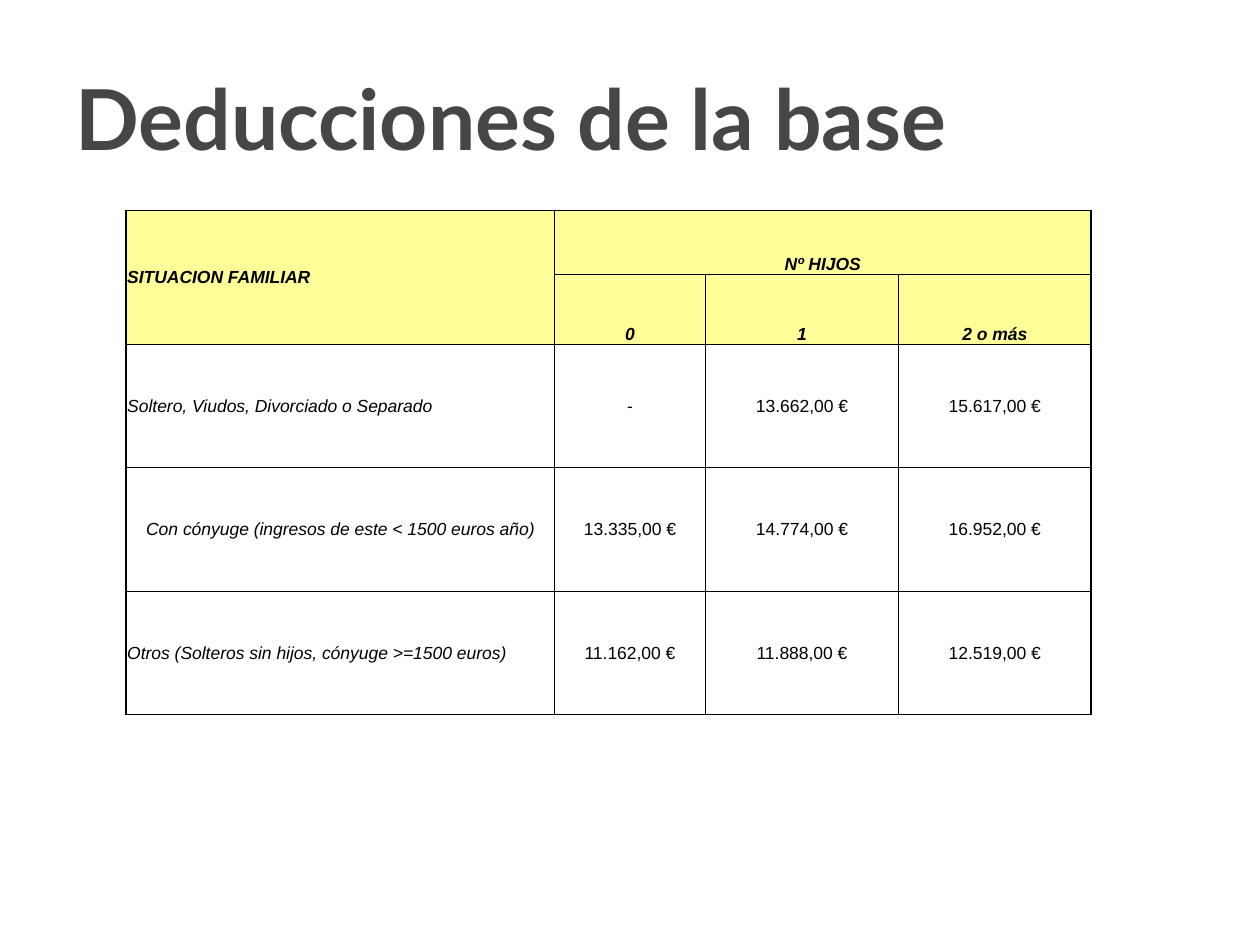
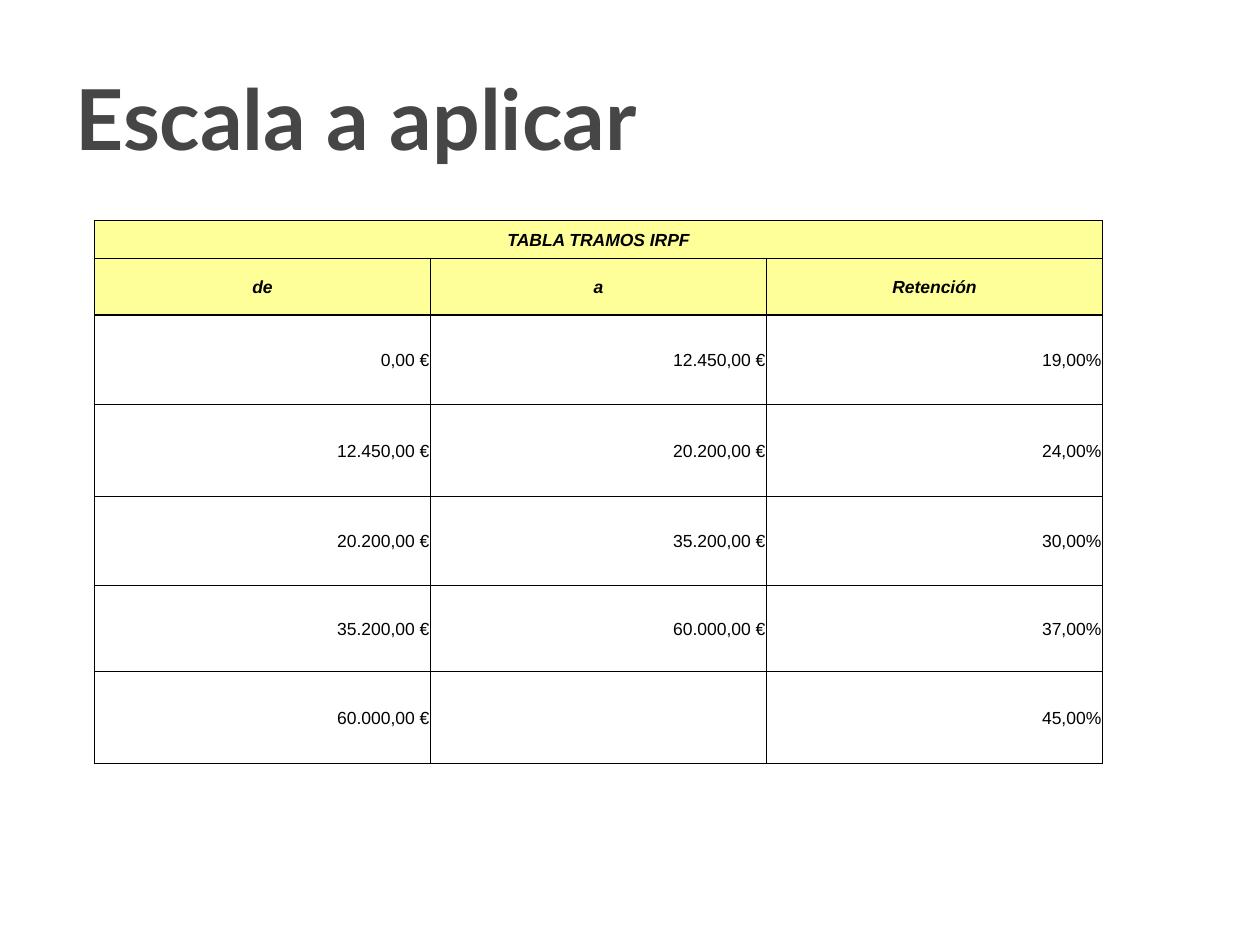
from lxml import etree
from pptx import Presentation
from pptx.dml.color import RGBColor
from pptx.enum import text
from pptx.oxml import ns
from pptx.util import Inches, Pt

INK, BLACK, YELLOW = "464646", "000000", "FFFF99"
LEFT, CENTER, RIGHT = text.PP_ALIGN.LEFT, text.PP_ALIGN.CENTER, text.PP_ALIGN.RIGHT
MIDDLE, BOTTOM = text.MSO_ANCHOR.MIDDLE, text.MSO_ANCHOR.BOTTOM
THIN, THICK = 0.5, 1


def color(value):
    return RGBColor.from_string(value)


def style(p, size, name, ink, bold=False, italic=False, align=LEFT):
    p.alignment = align
    font = p.font
    font.size, font.name, font.bold, font.italic = Pt(size), name, bold, italic
    font.color.rgb = color(ink)


def add_titled_slide(prs, title):
    s = prs.slides.add_slide(prs.slide_layouts[6])
    tf = s.shapes.add_textbox(Inches(0.5), Inches(0.3), Inches(9), Inches(1.25)).text_frame
    tf.word_wrap = True
    tf.vertical_anchor = MIDDLE
    tf.text = title
    style(tf.paragraphs[0], 48, "Lato", INK, bold=True)
    return s


def set_borders(cell, **widths):
    """Draw black cell sides; widths in points, keyed L, R, T, B in that order."""
    tc_pr = cell._tc.get_or_add_tcPr()
    for side, width in widths.items():
        ln = etree.SubElement(tc_pr, ns.qn(f"a:ln{side}"), w=str(Pt(width)))
        fill = etree.SubElement(ln, ns.qn("a:solidFill"))
        etree.SubElement(fill, ns.qn("a:srgbClr"), val=BLACK)


def fill_cell(cell, words, header, italic, align, anchor):
    cell.margin_left = cell.margin_top = cell.margin_right = Inches(0.01)
    cell.margin_bottom = 0
    cell.vertical_anchor = anchor
    cell.text = words
    style(cell.text_frame.paragraphs[0], 10, "Arial", BLACK, header, italic, align)
    if header:
        cell.fill.solid()
        cell.fill.fore_color.rgb = color(YELLOW)
    else:
        cell.fill.background()


def add_grid(s, left, top, widths, heights, rows, merges, look, outer=THIN, header_line=THIN):
    """Add a table with two header rows; look(r, c) gives italic, align and anchor."""
    table = s.shapes.add_table(len(heights), len(widths), Inches(left), Inches(top),
                               Inches(sum(widths)), Inches(sum(heights))).table
    table.first_row = table.horz_banding = False
    for column, width in zip(table.columns, widths):
        column.width = Inches(width)
    for row, height in zip(table.rows, heights):
        row.height = Inches(height)
    for first, last in merges:
        table.cell(*first).merge(table.cell(*last))

    def edge(line, last):
        return outer if line in (0, last) else THIN

    def level(line):
        return header_line if line == 2 else edge(line, len(heights))

    for r, row in enumerate(rows):
        for c, words in enumerate(row):
            cell = table.cell(r, c)
            across = cell.span_width if cell.is_merge_origin else 1
            down = cell.span_height if cell.is_merge_origin else 1
            set_borders(cell, L=edge(c, len(widths)), R=edge(c + across, len(widths)),
                        T=level(r), B=level(r + down))
            fill_cell(cell, words, r < 2, *look(r, c))


def deduction_look(r, c):
    centered = c > 0 or r == 3
    return (r < 2 or c == 0, CENTER if centered else LEFT,
            BOTTOM if r < 2 and c > 0 else MIDDLE)


def bracket_look(r, c):
    return r < 2, CENTER if r < 2 else RIGHT, MIDDLE


def add_deductions(prs):
    s = add_titled_slide(prs, "Deducciones de la base")
    rows = [
        ("SITUACION FAMILIAR", "Nº HIJOS", "", ""),
        ("", "0", "1", "2 o más"),
        ("Soltero, Viudos, Divorciado o Separado", "-", "13.662,00 €", "15.617,00 €"),
        ("Con cónyuge (ingresos de este < 1500 euros año)",
         "13.335,00 €", "14.774,00 €", "16.952,00 €"),
        ("Otros (Solteros sin hijos, cónyuge >=1500 euros)",
         "11.162,00 €", "11.888,00 €", "12.519,00 €"),
    ]
    add_grid(s, 1, 1.67, [3.4, 1.2, 1.53, 1.53], [0.51, 0.55] + [0.98] * 3, rows,
             [((0, 0), (1, 0)), ((0, 1), (0, 3))], deduction_look, outer=THICK)


def add_tax_scale(prs):
    s = add_titled_slide(prs, "Escala a aplicar")
    limits = ["0,00 €", "12.450,00 €", "20.200,00 €", "35.200,00 €", "60.000,00 €", ""]
    rates = ["19,00%", "24,00%", "30,00%", "37,00%", "45,00%"]
    rows = [("TABLA TRAMOS IRPF", "", ""), ("de", "a", "Retención"),
            *zip(limits, limits[1:], rates)]
    add_grid(s, 0.75, 1.75, [8 / 3] * 3, [0.3, 0.45, 0.71, 0.73, 0.71, 0.68, 0.73], rows,
             [((0, 0), (0, 2))], bracket_look, header_line=THICK)


def main():
    prs = Presentation()
    prs.slide_width, prs.slide_height = Inches(10), Inches(7.5)
    add_deductions(prs)
    add_tax_scale(prs)
    prs.save("out.pptx")


if __name__ == "__main__":
    main()
